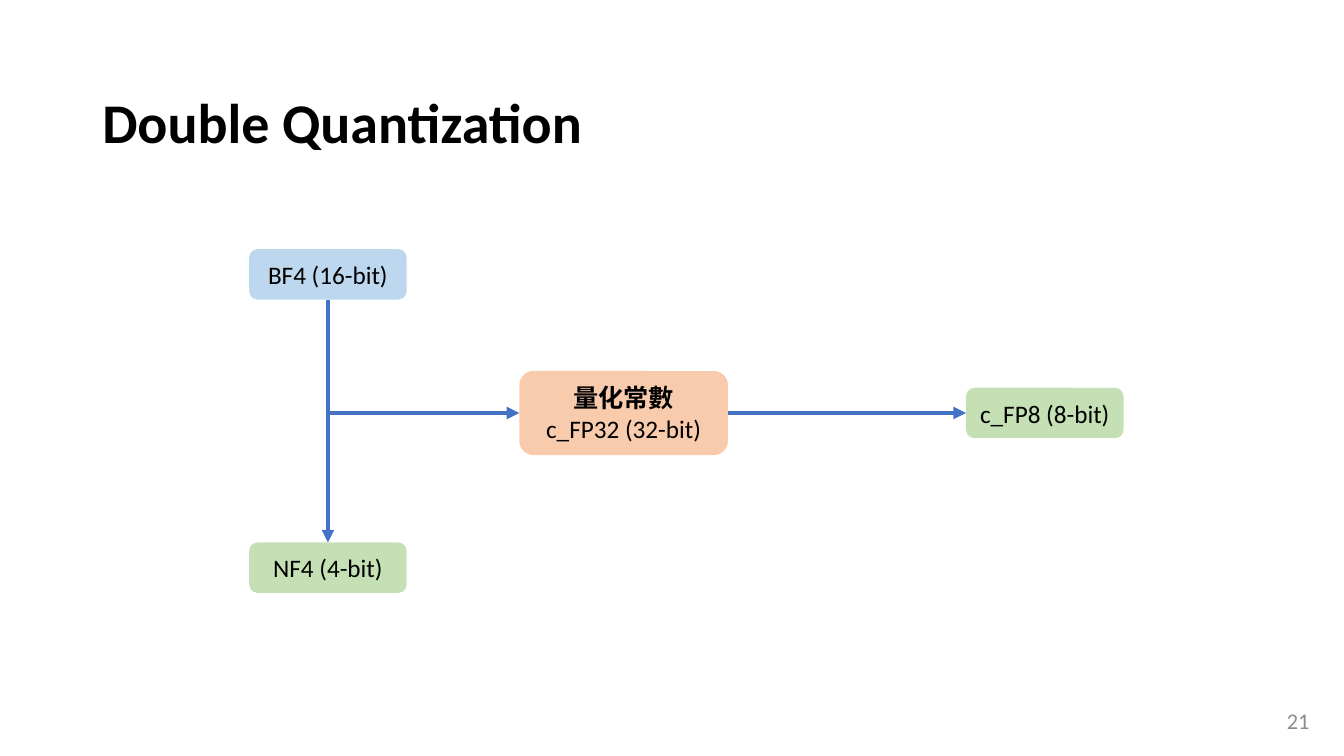
from pptx import Presentation
from pptx.dml.color import RGBColor
from pptx.enum.shapes import MSO_CONNECTOR as Connector, MSO_SHAPE as Shape
from pptx.enum.text import MSO_ANCHOR as Anchor, PP_ALIGN as Align
from pptx.oxml.ns import qn
from pptx.util import Pt
from lxml.etree import SubElement

COLORS = {
    "black": "000000", "gray": "8C8C8C", "line": "4472C4",
    "blue": "BDD7EE", "green": "C5E0B4", "orange": "F8CBAD",
}
TOP, LEFT, BOTTOM, RIGHT = range(4)  # connection sites of a box


def color(name):
    return RGBColor.from_string(COLORS[name])


class Diagram:
    font = "Calibri"
    line_width = 3

    def __init__(self, slide):
        self.slide = slide

    def add_lines(self, shape, lines, size, ink="black", align=Align.CENTER,
                  anchor=Anchor.MIDDLE, spacing=1.0):
        """Fill a shape with (text, bold) lines."""
        frame = shape.text_frame
        frame.word_wrap = True
        frame.vertical_anchor = anchor
        for index, (text, bold) in enumerate(lines):
            paragraph = frame.add_paragraph() if index else frame.paragraphs[0]
            paragraph.alignment = align
            paragraph.line_spacing = spacing
            run = paragraph.add_run()
            run.text = text
            values = {"name": self.font, "size": Pt(size), "bold": bold}
            for attribute, value in values.items():
                setattr(run.font, attribute, value)
            run.font.color.rgb = color(ink)

    def label(self, bounds, text, size, bold=False, **style):
        shape = self.slide.shapes.add_textbox(*map(Pt, bounds))
        self.add_lines(shape, [(text, bold)], size, **style)

    def box(self, bounds, fill, *lines):
        shape = self.slide.shapes.add_shape(Shape.ROUNDED_RECTANGLE, *map(Pt, bounds))
        shape.shadow.inherit = False
        shape.fill.solid()
        shape.fill.fore_color.rgb = color(fill)
        shape.line.fill.background()
        self.add_lines(shape, lines, 18)
        return shape

    def arrow(self, start, start_site, end, end_site, bent=False):
        kind = Connector.ELBOW if bent else Connector.STRAIGHT
        connector = self.slide.shapes.add_connector(kind, 0, 0, 0, 0)
        connector.begin_connect(start, start_site)
        connector.end_connect(end, end_site)
        connector.line.width = Pt(self.line_width)
        connector.line.color.rgb = color("line")
        properties = connector._element.spPr
        SubElement(properties.find(qn("a:ln")), qn("a:tailEnd"), type="triangle")
        SubElement(properties, qn("a:effectLst"))
        if bent:
            self.turn_down_then_right(connector)

    def turn_down_then_right(self, connector):
        """Make the elbow a single corner: rotate it about its centre and mirror it."""
        width, height = connector.width, connector.height
        connector.left += (width - height) // 2
        connector.top += (height - width) // 2
        connector.width, connector.height = height, width
        properties = connector._element.spPr
        properties.find(qn("a:prstGeom")).set("prst", "bentConnector2")
        transform = properties.find(qn("a:xfrm"))
        transform.set("rot", str(270 * 60000))
        transform.set("flipH", "1")


def main():
    presentation = Presentation()
    presentation.slide_width, presentation.slide_height = Pt(960), Pt(540)
    diagram = Diagram(presentation.slides.add_slide(presentation.slide_layouts[6]))

    # Title and page number
    diagram.label((66, 29, 828, 85.5), "Double Quantization", 40, bold=True,
                  align=Align.LEFT, anchor=Anchor.BOTTOM, spacing=0.9)
    diagram.label((678, 500.5, 264.5, 28.75), "21", 16, ink="gray", align=Align.RIGHT)

    # Number formats
    small = (112.5, 36)
    bf4 = diagram.box((178, 178, *small), "blue", ("BF4 (16-bit)", False))
    nf4 = diagram.box((178, 387.5, *small), "green", ("NF4 (4-bit)", False))
    fp32 = diagram.box((371, 265, 149, 60), "orange",
                       ("量化常數", True), ("c_FP32 (32-bit)", False))
    fp8 = diagram.box((690, 277, *small), "green", ("c_FP8 (8-bit)", False))

    # Quantization steps
    diagram.arrow(bf4, BOTTOM, nf4, TOP)
    diagram.arrow(bf4, BOTTOM, fp32, LEFT, bent=True)
    diagram.arrow(fp32, RIGHT, fp8, LEFT)

    presentation.save("out.pptx")


if __name__ == "__main__":
    main()
